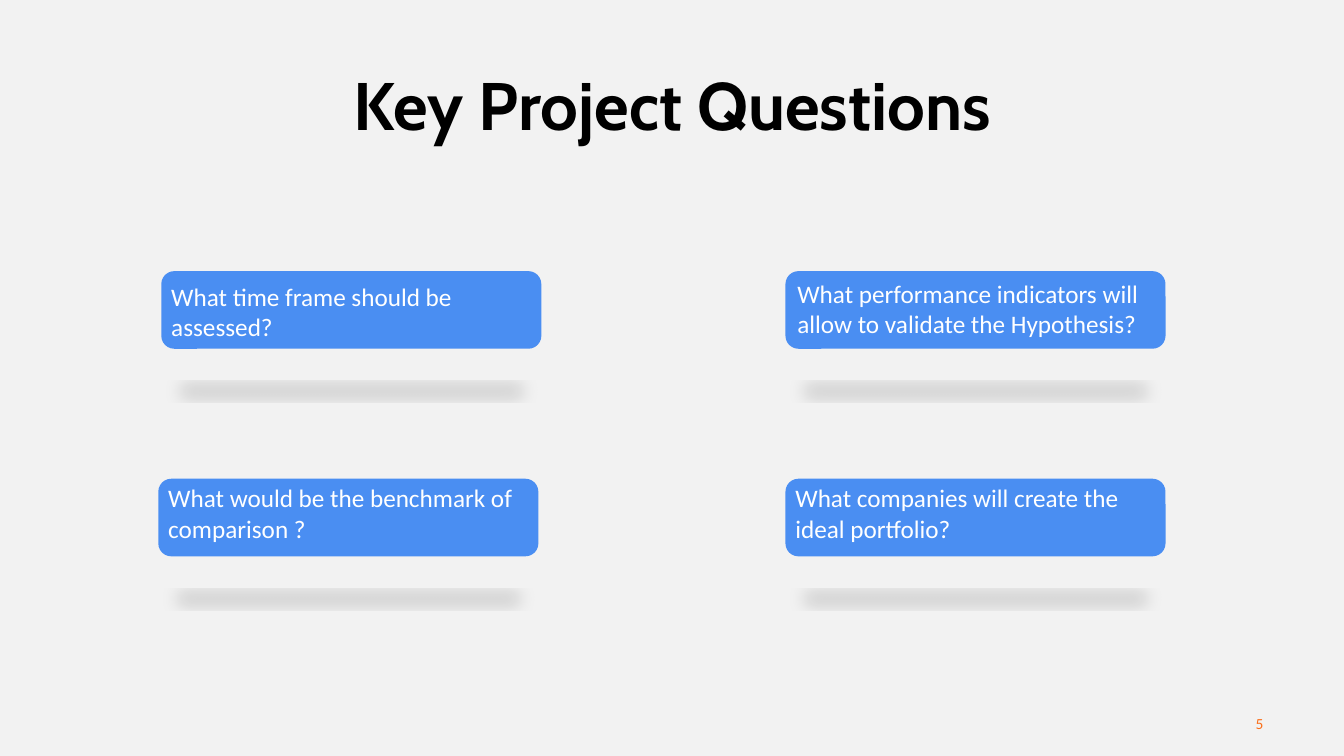
from dataclasses import dataclass

from lxml.etree import SubElement as Sub
from pptx import Presentation
from pptx.dml.color import RGBColor as Rgb
from pptx.enum.shapes import MSO_SHAPE as Shape
from pptx.enum.text import MSO_ANCHOR as Anchor, MSO_AUTO_SIZE as Fit, PP_ALIGN as Align
from pptx.oxml.ns import qn
from pptx.util import Inches, Pt


@dataclass(frozen=True)
class Theme:
    back: str = "F2F2F2"
    card: str = "4A8EF2"
    ink: str = "000000"
    light: str = "FFFFFF"
    accent: str = "FA6F1A"
    head: str = "Cabin"
    body: str = "Calibri"
    big: int = 48
    mid: int = 18
    small: int = 11


class Deck:
    """Places elements on one slide; lengths are percent of its size."""

    def __init__(self, theme):
        self.theme = theme
        self.prs = Presentation()
        self.prs.slide_width, self.prs.slide_height = Inches(13.33), Inches(7.5)
        self.slide = self.prs.slides.add_slide(self.prs.slide_layouts[5])
        fill = self.slide.background.fill
        fill.solid()
        fill.fore_color.rgb = Rgb.from_string(theme.back)

    def area(self, x, y, w, h):
        wide, high = self.prs.slide_width, self.prs.slide_height
        return [int(n * full / 100) for n, full in zip((x, y, w, h), (wide, high) * 2)]

    def style(self, frame, text, face, size, color, bold=False, align=Align.LEFT):
        frame.word_wrap = True
        frame.text = text
        para = frame.paragraphs[0]
        para.alignment = align
        font = para.runs[0].font
        font.name, font.size, font.bold = face, Pt(size), bold
        font.color.rgb = Rgb.from_string(color)
        return para

    def title(self, text, *box):
        look, shape = self.theme, self.slide.shapes.title
        shape.left, shape.top, shape.width, shape.height = self.area(*box)
        frame = shape.text_frame
        para = self.style(frame, text, look.head, look.big, look.ink, True, Align.CENTER)
        para.line_spacing = 0.9
        frame.vertical_anchor = Anchor.MIDDLE
        frame.auto_size = Fit.NONE

    def card(self, *box):
        shape = self.slide.shapes.add_shape(Shape.ROUNDED_RECTANGLE, *self.area(*box))
        shape.fill.solid()
        shape.fill.fore_color.rgb = Rgb.from_string(self.theme.card)
        shape.line.fill.background()
        self.shade(shape)

    def shade(self, shape):
        # Flattened, mirrored shadow that falls below the card
        shape.shadow.inherit = False
        effects = shape.element.spPr.find(qn("a:effectLst"))
        cast = Sub(effects, qn("a:outerShdw"), blurRad=str(Pt(12)), dist=str(Pt(25)),
                   dir="5400000", sx="90000", sy="-19000", rotWithShape="0")
        tone = Sub(cast, qn("a:srgbClr"), val=self.theme.ink)
        Sub(tone, qn("a:alpha"), val="15000")

    def label(self, text, *box):
        look = self.theme
        frame = self.slide.shapes.add_textbox(*self.area(*box)).text_frame
        self.style(frame, text, look.body, look.mid, look.light)
        frame.auto_size = Fit.SHAPE_TO_FIT_TEXT

    def number(self, text, *box):
        look = self.theme
        frame = self.slide.shapes.add_textbox(*self.area(*box)).text_frame
        self.style(frame, text, look.body, look.small, look.accent, align=Align.RIGHT)
        frame.vertical_anchor = Anchor.MIDDLE


WIDE, HIGH, TALL = 28.28, 10.27, 9.47  # card width, card height, label height
TOP, LOW = 35.87, 63.33
RIGHT = 58.44

# Card left and top, label shift right and down, question
CARDS = [
    (12, TOP, 0, 0.67, "What time frame should be assessed?"),
    (RIGHT, TOP, 0.15, 0.27,
     "What performance indicators will allow to validate the Hypothesis?"),
    (11.78, LOW, 0, -0.13, "What would be the benchmark of comparison ?"),
    (RIGHT, LOW, 0, -0.13, "What companies will create the ideal portfolio?"),
]


def main():
    deck = Deck(Theme())

    # Heading and page number
    deck.title("Key Project Questions", 6.9, 9.2, 86.27, 10.27)
    deck.number("5", 72.24, 93.07, 22.5, 5.33)

    # Question cards
    for x, y, right, down, text in CARDS:
        deck.card(x, y, WIDE, HIGH)
        deck.label(text, x + right, y + down, WIDE - right, TALL)

    deck.prs.save("out.pptx")


if __name__ == "__main__":
    main()
